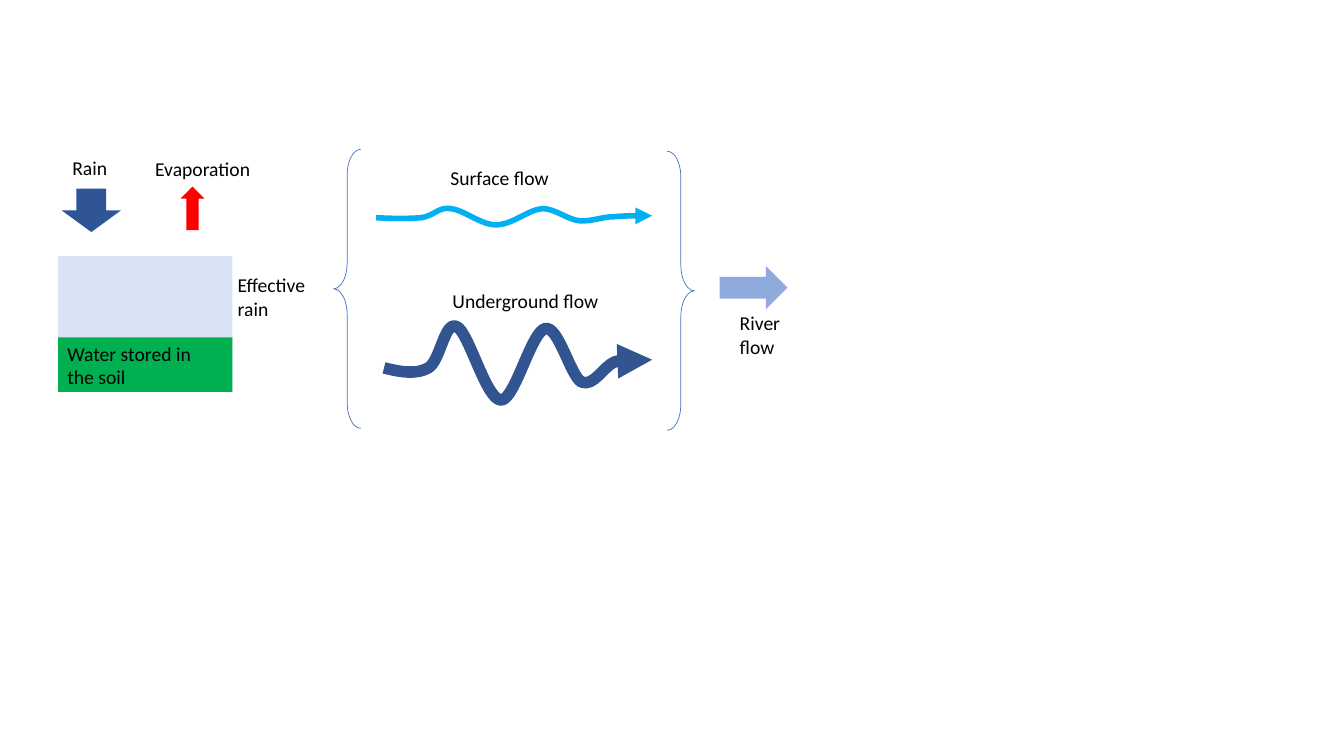
from lxml import etree
from pptx import Presentation
from pptx.dml.color import RGBColor
from pptx.enum.shapes import MSO_SHAPE
from pptx.enum.text import MSO_AUTO_SIZE
from pptx.oxml.ns import qn
from pptx.util import Pt

RECT = MSO_SHAPE.RECTANGLE
ARROW = MSO_SHAPE.RIGHT_ARROW
BRACE = MSO_SHAPE.LEFT_BRACE
GROW = MSO_AUTO_SIZE.SHAPE_TO_FIT_TEXT

COLORS = {
    "pale": "DAE3F3",
    "soil": "00B050",
    "river": "8FAADC",
    "vapor": "FF0000",
    "rain": "2F5597",
    "brace": "4472C4",
    "surface": "00B0F0",
    "under": "325491",
    "text": "000000",
}

SOLIDS = [
    (RECT, "pale", (41.5, 183, 124.5, 96.5), 0),
    (RECT, "soil", (41.5, 241, 124.5, 39), 0),
    (ARROW, "river", (514, 190, 48.5, 31), 0),
    (ARROW, "vapor", (122, 140.2, 31, 17.2), 270),
    (ARROW, "rain", (49.7, 129, 31, 42.5), 90),
]

BRACES = [
    ((238.3, 106.6), 0),
    ((476.6, 108), 180),
]
SIZE = (19.4, 199.4)
BEND = (0.958, 0.5)

LABELS = [
    ("Rain", (44.6, 108, 95.8, 24.2)),
    ("Evaporation", (103.7, 108.7, 95.8, 24.2)),
    ("Effective rain", (162.7, 191.5, 72.7, 41)),
    ("Water stored in the soil", (41, 240.5, 113.8, 41)),
    ("Surface flow", (314.6, 115.2, 112.3, 24.2)),
    ("Underground flow", (316.1, 203, 130.3, 24.2)),
    ("River flow", (521.3, 218.9, 57.6, 41)),
]

FLOWS = [
    ("surface", 4, [
        (268.6, 155.5),
        (280.8, 156.2), (292.3, 156.2), (301, 155.5),
        (310.3, 154.1), (313.2, 147.6), (321.8, 149),
        (331.2, 149.8), (343.4, 160.6), (354.2, 160.6),
        (365.8, 160.6), (377.3, 149.8), (387.4, 149),
        (396.7, 149), (405.4, 157), (414, 157.7),
        (422.6, 158.4), (429.8, 154.8), (438.5, 154.8),
        (447.1, 154.1), (458.6, 154.1), (465.8, 154.1),
    ]),
    ("under", 8.25, [
        (274.3, 262.8),
        (285.8, 265.7), (297.4, 267.8), (306, 262.8),
        (314.6, 257.8), (317.5, 229), (326.2, 233.3),
        (334.8, 236.9), (347, 285.1), (357.8, 285.8),
        (367.9, 285.8), (379.4, 236.9), (389.5, 234.7),
        (398.9, 232.6), (407.5, 268.6), (415.4, 272.9),
        (424.1, 276.5), (431.3, 261.4), (439.2, 258.5),
        (447.8, 256.3), (458.6, 256.3), (465.8, 257),
    ]),
]


def tint(name):
    return RGBColor.from_string(COLORS[name])


def pts(nums):
    return tuple(Pt(n) for n in nums)


def stroke(shape, color, width):
    shape.shadow.inherit = False
    shape.fill.background()
    shape.line.color.rgb = tint(color)
    shape.line.width = Pt(width)


def solid(slide, kind, color, box, turn):
    shape = slide.shapes.add_shape(kind, *pts(box))
    shape.shadow.inherit = False
    shape.fill.solid()
    shape.fill.fore_color.rgb = tint(color)
    shape.line.fill.background()
    shape.rotation = turn


def brace(slide, spot, turn):
    shape = slide.shapes.add_shape(BRACE, *pts(spot + SIZE))
    for i, bend in enumerate(BEND):
        shape.adjustments[i] = bend
    shape.rotation = turn
    stroke(shape, "brace", 0.5)


def flow(slide, color, width, knots):
    start, *rest = [pts(knot) for knot in knots]
    pen = slide.shapes.build_freeform(*start)
    pen.add_line_segments(rest, close=False)
    shape = pen.convert_to_shape()
    stroke(shape, color, width)
    steps = list(shape._element.iter(qn("a:lnTo")))
    for i in range(0, len(steps), 3):
        owner = steps[i].getparent()
        curve = etree.SubElement(owner, qn("a:cubicBezTo"))
        for step in steps[i:i + 3]:
            curve.append(step[0])
            owner.remove(step)
    line = shape._element.spPr.find(qn("a:ln"))
    etree.SubElement(line, qn("a:tailEnd"), type="triangle")


def label(slide, text, box, size=14, font="Calibri", color="text"):
    frame = slide.shapes.add_textbox(*pts(box)).text_frame
    frame.word_wrap = True
    frame.auto_size = GROW
    run = frame.paragraphs[0].add_run()
    run.text = text
    run.font.size = Pt(size)
    run.font.name = font
    run.font.color.rgb = tint(color)


def main():
    deck = Presentation()
    deck.slide_width, deck.slide_height = pts((960, 540))
    slide = deck.slides.add_slide(deck.slide_layouts[6])
    for item in SOLIDS:
        solid(slide, *item)
    for item in BRACES:
        brace(slide, *item)
    for item in FLOWS:
        flow(slide, *item)
    for item in LABELS:
        label(slide, *item)
    deck.save("out.pptx")


if __name__ == "__main__":
    main()
